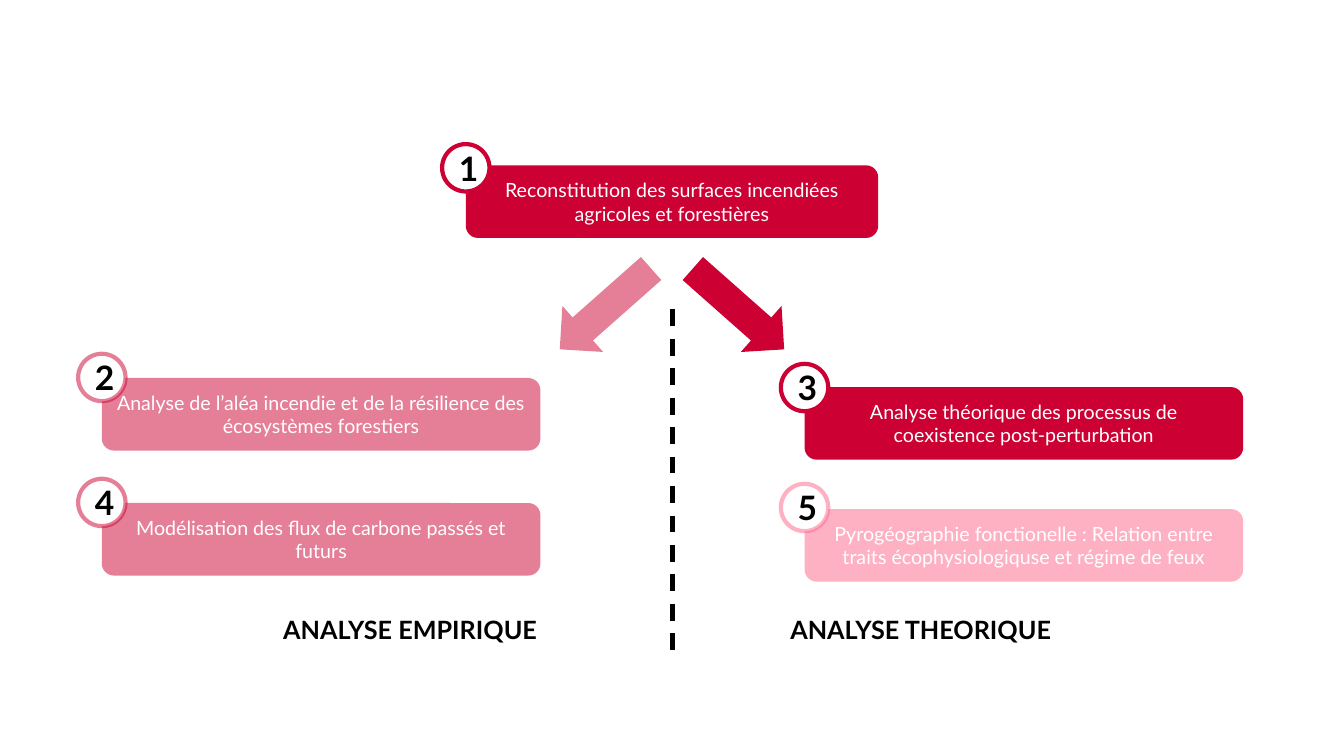
from lxml import etree
from pptx import Presentation
from pptx.dml.color import RGBColor
from pptx.enum.dml import MSO_LINE
from pptx.enum.shapes import MSO_CONNECTOR, MSO_SHAPE
from pptx.enum.text import MSO_ANCHOR, MSO_AUTO_SIZE, PP_ALIGN
from pptx.oxml.ns import qn
from pptx.util import Inches, Pt

BOX, BADGE, ARROW = MSO_SHAPE.ROUNDED_RECTANGLE, MSO_SHAPE.OVAL, MSO_SHAPE.DOWN_ARROW
STRAIGHT, DASH = MSO_CONNECTOR.STRAIGHT, MSO_LINE.DASH
CENTER, MIDDLE, GROW = PP_ALIGN.CENTER, MSO_ANCHOR.MIDDLE, MSO_AUTO_SIZE.SHAPE_TO_FIT_TEXT

THEME = {
    "font": "Lato", "white": "FFFFFF", "black": "000000",
    # Tones: colour and opacity in percent
    "strong": ("CC0033", 100), "soft": ("CC0033", 50), "pale": ("FF658A", 50),
    "step": 14, "heading": 18, "number": 24, "line": 3,
}

# Step text, tone, box left, top and width, rise of the badge above the box
STEPS = [
    ("Reconstitution des surfaces incendiées agricoles et forestières",
     "strong", 4.62, 1.64, 4.09, 0.21),
    ("Analyse de l’aléa incendie et de la résilience des écosystèmes forestiers",
     "soft", 1.01, 3.75, 4.35, 0.24),
    ("Analyse théorique des processus de coexistence post-perturbation",
     "strong", 7.98, 3.84, 4.35, 0.23),
    ("Modélisation des flux de carbone passés et futurs",
     "soft", 1.01, 4.99, 4.35, 0.24),
    ("Pyrogéographie fonctionelle : Relation entre traits écophysiologiquse et régime de feux",
     "pale", 7.98, 5.05, 4.35, 0.25),
]
# Branch heading, heading left and width, arrow tone, arrow left and rotation
BRANCHES = [
    ("ANALYSE EMPIRIQUE", 2.71, 2.8, "soft", 5.7, 48.5),
    ("ANALYSE THEORIQUE", 7.74, 2.89, "strong", 7.02, 311.5),
]
BOX_HEIGHT, BADGE_SIZE = 0.72, 0.47
ARROW_TOP, ARROW_WIDTH, ARROW_HEIGHT = 2.46, 0.61, 1.21
HEADING_TOP, HEADING_HEIGHT = 6.05, 0.4
DIVIDER_X, DIVIDER_TOP, DIVIDER_BOTTOM = 6.67, 3.07, 6.5


def paint(fill, tone):
    """Give a fill the colour and opacity of a tone."""
    color, opacity = tone
    fill.solid()
    fill.fore_color.rgb = RGBColor.from_string(color)
    if opacity < 100:
        srgb = fill._xPr.find(qn("a:solidFill")).find(qn("a:srgbClr"))
        etree.SubElement(srgb, qn("a:alpha")).set("val", str(opacity * 1000))


def write(shape, text, size, color, bold=False):
    """Write one run of text in the theme font."""
    run = shape.text_frame.paragraphs[0].add_run()
    run.text = text
    formats = {"name": THEME["font"], "size": Pt(size), "bold": bold}
    for key, value in formats.items():
        setattr(run.font, key, value)
    run.font.color.rgb = RGBColor.from_string(THEME[color])


def add_block(slide, kind, left, top, width, height, tone, outline=None):
    """Add a filled shape with centred text, outlined if a tone is given."""
    block = slide.shapes.add_shape(
        kind, Inches(left), Inches(top), Inches(width), Inches(height))
    block.shadow.inherit = False
    paint(block.fill, tone)
    if outline:
        paint(block.line.fill, outline)
        block.line.width = Pt(THEME["line"])
    else:
        block.line.fill.background()
    block.text_frame.word_wrap = True
    block.text_frame.vertical_anchor = MIDDLE
    block.text_frame.paragraphs[0].alignment = CENTER
    return block


def add_step(slide, number, text, tone, left, top, width, rise):
    """Add a step box with its numbered badge over the top left corner."""
    box = add_block(slide, BOX, left, top, width, BOX_HEIGHT, THEME[tone])
    write(box, text, THEME["step"], "white")
    badge = add_block(slide, BADGE, left - BADGE_SIZE / 2, top - rise,
                      BADGE_SIZE, BADGE_SIZE, (THEME["white"], 100), THEME[tone])
    write(badge, str(number), THEME["number"], "black", bold=True)


def add_branch(slide, heading, left, width, tone, arrow_left, rotation):
    """Add the arrow that leads to a branch and the branch heading."""
    arrow = add_block(slide, ARROW, arrow_left, ARROW_TOP,
                      ARROW_WIDTH, ARROW_HEIGHT, THEME[tone])
    arrow.rotation = rotation
    label = slide.shapes.add_textbox(
        Inches(left), Inches(HEADING_TOP), Inches(width), Inches(HEADING_HEIGHT))
    label.text_frame.word_wrap = False
    label.text_frame.auto_size = GROW
    write(label, heading, THEME["heading"], "black", bold=True)


def add_divider(slide):
    """Add the dashed line between the two branches."""
    divider = slide.shapes.add_connector(
        STRAIGHT, Inches(DIVIDER_X), Inches(DIVIDER_TOP),
        Inches(DIVIDER_X), Inches(DIVIDER_BOTTOM))
    paint(divider.line.fill, (THEME["black"], 100))
    divider.line.width = Pt(THEME["line"])
    divider.line.dash_style = DASH
    etree.SubElement(divider._element.spPr, qn("a:effectLst"))


def build():
    """Build the slide and save it."""
    deck = Presentation()
    deck.slide_width, deck.slide_height = Inches(13.33), Inches(7.5)
    slide = deck.slides.add_slide(deck.slide_layouts[6])
    for branch in BRANCHES:
        add_branch(slide, *branch)
    add_divider(slide)
    for number, step in enumerate(STEPS, start=1):
        add_step(slide, number, *step)
    deck.save("out.pptx")


build()
